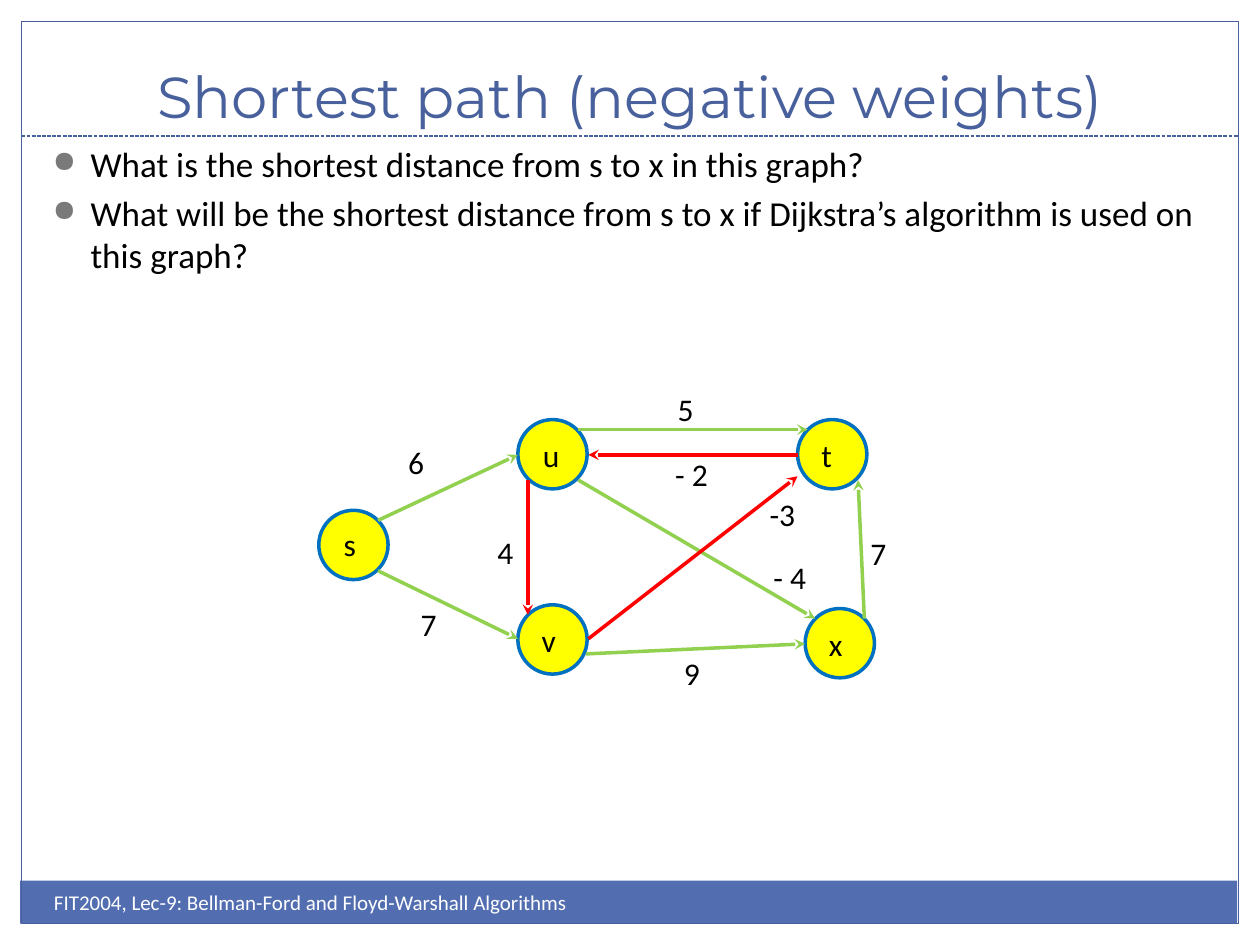
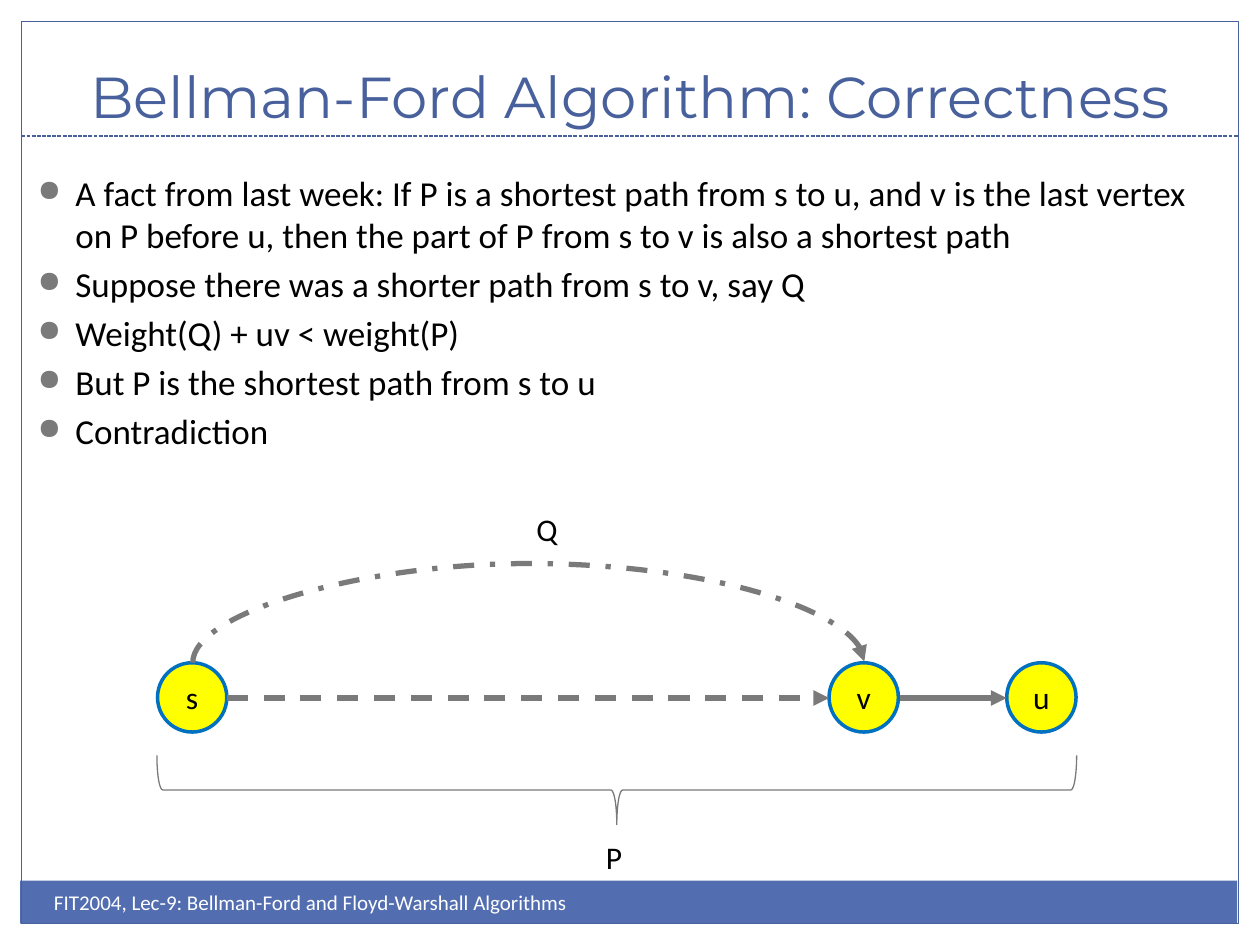
"""Build two slides on shortest paths with negative weights."""
from dataclasses import dataclass
from typing import Any

from lxml.etree import SubElement
from pptx import Presentation
from pptx.dml.color import RGBColor
from pptx.enum.dml import MSO_LINE
from pptx.enum.shapes import MSO_CONNECTOR, MSO_SHAPE
from pptx.enum.text import MSO_ANCHOR, MSO_AUTO_SIZE, PP_ALIGN
from pptx.oxml.ns import qn
from pptx.util import Inches, Pt

HUES = {
    "band": "526DB0", "blue": "48609B", "white": "FFFFFF", "black": "000000",
    "gray": "7A7A7A", "green": "92D050", "red": "FF0000",
    "disc": "FFFF00", "ring": "0070C0",
}
FONT = "Calibri"
DISC = 0.55
FOOT = "FIT2004, Lec-9: Bellman-Ford and Floyd-Warshall Algorithms"


@dataclass
class Node:
    """A round graph vertex."""
    left: float
    top: float
    text: str = ""


@dataclass
class Edge:
    """A line between two points."""
    start: tuple[float, float]
    end: tuple[float, float]
    hue: str = "green"
    width: float = 2
    head: str = "stealth"
    dash: Any = None
    kind: Any = MSO_CONNECTOR.STRAIGHT


@dataclass
class Label:
    """A short text that does not wrap."""
    text: str
    left: float
    top: float
    width: float = 0.34


def color(name: str) -> RGBColor:
    """Look up a named colour."""
    return RGBColor.from_string(HUES[name])


def apply(item: Any, values: dict[str, Any]) -> None:
    """Set each value as an attribute of the item."""
    for key, value in values.items():
        setattr(item, key, value)


def write(para: Any, text: str, size: float, hue: str = "black", font: str = FONT) -> None:
    """Add one formatted run to a paragraph."""
    run = para.add_run()
    run.text = text
    apply(run.font, {"name": font, "size": Pt(size)})
    run.font.color.rgb = color(hue)


def add_box(slide: Any, spot: tuple[float, ...], wrap: bool = True) -> Any:
    """Add a text box and return its frame."""
    frame = slide.shapes.add_textbox(*map(Inches, spot)).text_frame
    frame.word_wrap = wrap
    return frame


def add_form(slide: Any, kind: Any, spot: tuple[float, ...], fill: str = "",
             line: str = "", width: float = 0.75) -> Any:
    """Add a preset shape with an optional fill and line."""
    form = slide.shapes.add_shape(kind, *map(Inches, spot))
    form.shadow.inherit = False
    for part, hue in ((form.fill, fill), (form.line.fill, line)):
        if hue:
            part.solid()
            part.fore_color.rgb = color(hue)
        else:
            part.background()
    if line:
        form.line.width = Pt(width)
    return form


def add_node(slide: Any, node: Node) -> None:
    """Draw a vertex with its name in the middle."""
    spot = (node.left, node.top, DISC, DISC)
    form = add_form(slide, MSO_SHAPE.OVAL, spot, "disc", "ring", 2)
    if node.text:
        frame = form.text_frame
        sides = ("left", "right", "top", "bottom")
        apply(frame, {f"margin_{side}": 0 for side in sides})
        apply(frame, {"vertical_anchor": MSO_ANCHOR.MIDDLE, "word_wrap": True})
        frame.paragraphs[0].alignment = PP_ALIGN.CENTER
        write(frame.paragraphs[0], node.text, 18)


def add_edge(slide: Any, edge: Edge) -> Any:
    """Draw a line with its dash and arrowhead."""
    link = slide.shapes.add_connector(edge.kind, *map(Inches, edge.start + edge.end))
    link.line.color.rgb = color(edge.hue)
    apply(link.line, {"width": Pt(edge.width), "dash_style": edge.dash})
    props = link.element.spPr
    if edge.head:
        SubElement(props.find(qn("a:ln")), qn("a:tailEnd"), type=edge.head)
    SubElement(props, qn("a:effectLst"))
    return link


def add_arc(slide: Any, edge: Edge, bend: int) -> None:
    """Draw a curved line turned by a quarter, with its bend."""
    props = add_edge(slide, edge).element.spPr
    props.find(qn("a:xfrm")).set("rot", "5400000")
    shape = props.find(qn("a:prstGeom"))
    SubElement(shape.find(qn("a:avLst")), qn("a:gd"), name="adj1", fmla=f"val {bend}")


def add_label(slide: Any, label: Label) -> None:
    """Draw a short text."""
    frame = add_box(slide, (label.left, label.top, label.width, 0.4), False)
    write(frame.paragraphs[0], label.text, 18)


def add_list(slide: Any, spot: tuple[float, ...], lines: list[str]) -> None:
    """Write a bulleted list."""
    frame = add_box(slide, spot)
    for rank, line in enumerate(lines):
        para = frame.add_paragraph() if rank else frame.paragraphs[0]
        para.space_before = Pt(4 if rank else 0)
        props = para._p.get_or_add_pPr()
        props.set("marL", str(Inches(0.3)))
        props.set("indent", str(Inches(-0.3)))
        SubElement(SubElement(props, qn("a:buClr")), qn("a:srgbClr"), val=HUES["gray"])
        SubElement(props, qn("a:buSzPct"), val="85000")
        SubElement(props, qn("a:buChar"), char="●")
        write(para, line, 20)


def add_slide(deck: Any, title: str) -> Any:
    """Add a slide with the shared title, frame and footer."""
    slide = deck.slides.add_slide(deck.slide_layouts[5])
    add_form(slide, MSO_SHAPE.RECTANGLE, (0.16, 6.99, 9.66, 0.34), "band")
    add_form(slide, MSO_SHAPE.RECTANGLE, (0.17, 0.17, 9.66, 7.16), line="blue")
    add_edge(slide, Edge((0.17, 1.08), (9.83, 1.08), "blue", 0.75, "", MSO_LINE.SQUARE_DOT))
    head = slide.shapes.title
    apply(head, {"left": 0, "top": Inches(0.25), "width": Inches(10), "height": Inches(0.83)})
    frame = head.text_frame
    apply(frame, {"vertical_anchor": MSO_ANCHOR.BOTTOM, "word_wrap": True,
                  "auto_size": MSO_AUTO_SIZE.NONE})
    frame.paragraphs[0].alignment = PP_ALIGN.CENTER
    write(frame.paragraphs[0], title, 33, "blue", "Montserrat")
    foot = add_box(slide, (0.33, 7.01, 5, 0.4))
    write(foot.paragraphs[0], FOOT, 12, "white")
    return slide


def draw_graph(deck: Any) -> None:
    """Build the slide with the weighted graph."""
    slide = add_slide(deck, "Shortest path (negative weights)")
    add_list(slide, (0.32, 1.08, 9.32, 3.92), [
        "What is the shortest distance from s to x in this graph?",
        "What will be the shortest distance from s to x if Dijkstra’s algorithm "
        "is used on this graph?",
    ])
    for node in (Node(4.11, 4.8), Node(4.11, 3.33), Node(6.39, 4.83),
                 Node(6.33, 3.33), Node(2.53, 4.05)):
        add_node(slide, node)
    for edge in (
        Edge((3, 4.13), (4.11, 3.61)),
        Edge((3, 4.53), (4.11, 5.07)),
        Edge((4.19, 3.81), (4.19, 4.88), "red"),
        Edge((4.59, 3.41), (6.41, 3.41)),
        Edge((4.59, 3.81), (6.47, 4.91)),
        Edge((6.86, 4.91), (6.81, 3.81)),
        Edge((4.67, 5.07), (6.33, 3.78), "red"),
        Edge((4.65, 5.19), (6.39, 5.11)),
        Edge((6.33, 3.61), (4.67, 3.61), "red"),
    ):
        add_edge(slide, edge)
    for label in (
        Label("v", 4.2, 4.88, 0.33), Label("u", 4.21, 3.41),
        Label("x", 6.48, 4.91, 0.33), Label("t", 6.42, 3.41, 0.27),
        Label("s", 2.63, 4.12, 0.33), Label("6", 3.14, 3.47),
        Label("7", 3.24, 4.75), Label("4", 3.85, 4.18),
        Label("5", 5.28, 3.05), Label("-3", 6.01, 3.88, 0.43),
        Label("9", 5.33, 5.14), Label("- 4", 6.04, 4.38, 0.5),
        Label("7", 6.81, 4.19), Label("- 2", 5.26, 3.56, 0.5),
    ):
        add_label(slide, label)


def draw_proof(deck: Any) -> None:
    """Build the slide with the proof by paths P and Q."""
    slide = add_slide(deck, "Bellman-Ford Algorithm: Correctness")
    add_list(slide, (0.2, 1.31, 9.32, 2.72), [
        "A fact from last week: If P is a shortest path from s to u, and v is the last "
        "vertex on P before u, then the part of P from s to v is also a shortest path",
        "Suppose there was a shorter path from s to v, say Q",
        "Weight(Q) + uv < weight(P)",
        "But P is the shortest path from s to u",
        "Contradiction",
    ])
    for left, name in ((1.25, "s"), (6.58, "v"), (7.99, "u")):
        add_node(slide, Node(left, 5.26, name))
    look = {"hue": "gray", "width": 3, "head": "triangle"}
    add_edge(slide, Edge((1.8, 5.54), (6.58, 5.54), dash=MSO_LINE.DASH, **look))
    add_edge(slide, Edge((7.14, 5.54), (7.99, 5.54), **look))
    add_arc(slide, Edge((4.2, 7.92), (4.19, 2.59), dash=MSO_LINE.DASH_DOT,
                        kind=MSO_CONNECTOR.CURVE, **look), 8000000)
    brace = add_form(slide, MSO_SHAPE.RIGHT_BRACE, (4.62, 2.62, 0.55, 7.3), line="gray")
    brace.rotation = 90
    add_label(slide, Label("P", 4.71, 6.6, 0.33))
    add_label(slide, Label("Q", 4.16, 4, 0.36))


def main() -> None:
    """Build and save the deck."""
    deck = Presentation()
    apply(deck, {"slide_width": Inches(10), "slide_height": Inches(7.5)})
    draw_graph(deck)
    draw_proof(deck)
    deck.save("out.pptx")


if __name__ == "__main__":
    main()
